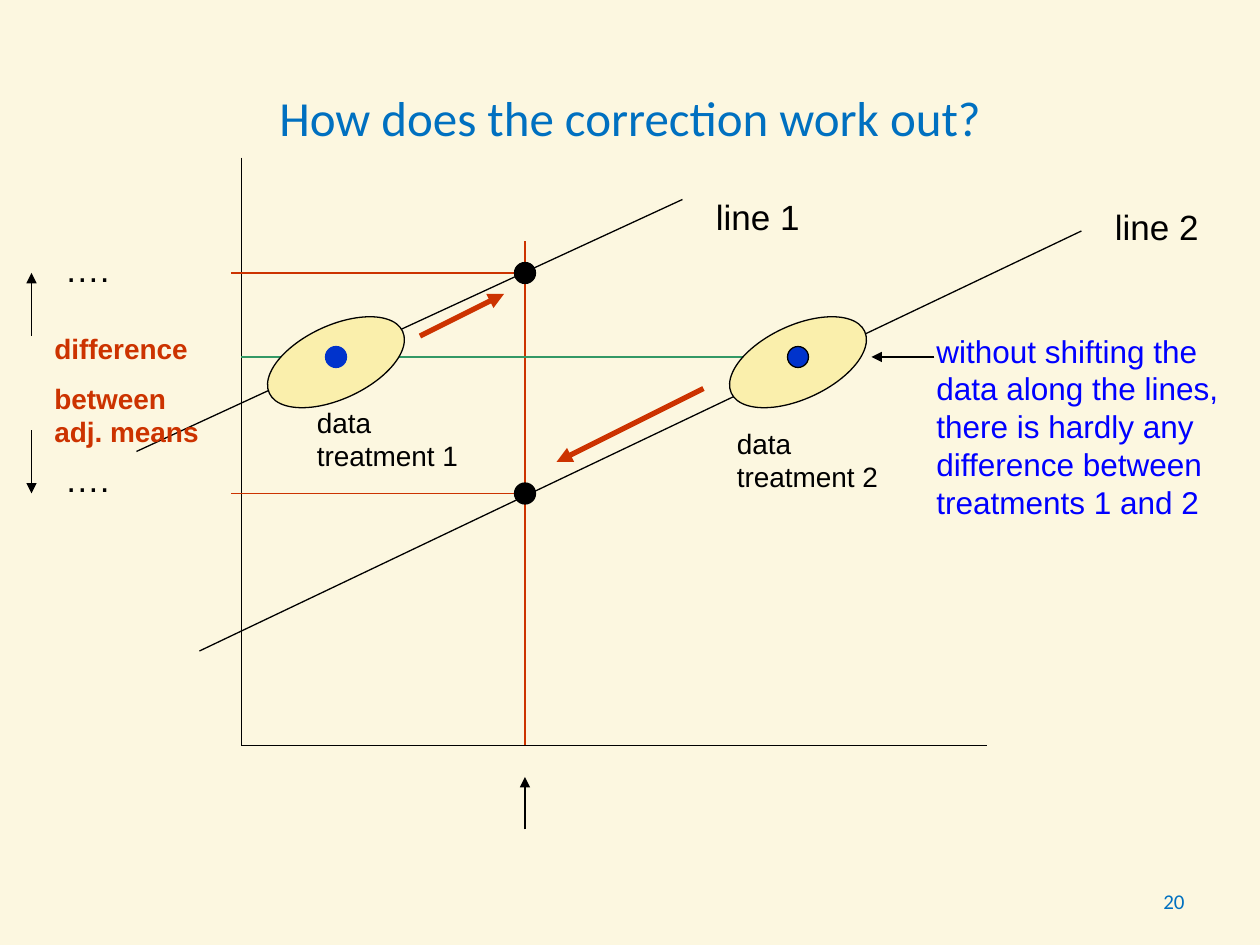
"""Build a slide showing how covariate correction moves treatment means along two lines."""
from dataclasses import dataclass

from lxml.etree import SubElement
from pptx import Presentation
from pptx.dml.color import RGBColor
from pptx.enum.shapes import MSO_CONNECTOR as Connector, MSO_SHAPE as Shape
from pptx.enum.text import MSO_ANCHOR as Anchor, MSO_AUTO_SIZE as AutoSize, PP_ALIGN as Align
from pptx.oxml.ns import qn
from pptx.util import Pt

BLACK = RGBColor(0x00, 0x00, 0x00)
RED = RGBColor(0xCC, 0x33, 0x00)
GREEN = RGBColor(0x33, 0x99, 0x66)
DOT_BLUE = RGBColor(0x00, 0x33, 0xCC)
NOTE_BLUE = RGBColor(0x00, 0x00, 0xFF)
TITLE_BLUE = RGBColor(0x00, 0x70, 0xC0)
SAND = RGBColor(0xFA, 0xEF, 0xAC)
CREAM = RGBColor(0xFC, 0xF7, 0xE0)

AXIS_X, AXIS_Y = 138, 426
MEAN_X, UPPER_Y, LOWER_Y = 300, 156, 282
DATA_Y = 204
DATA_1_X, DATA_2_X = 192, 456
DIFFERENCE_X = 18


@dataclass(frozen=True)
class Line:
    start: tuple[float, float]
    end: tuple[float, float]
    color: RGBColor = BLACK
    width: float = 0.75
    arrow: bool = False


@dataclass(frozen=True)
class Oval:
    center: tuple[float, float]
    size: tuple[float, float]
    fill: RGBColor
    outline: RGBColor = BLACK
    rotation: float = 0


@dataclass(frozen=True)
class Label:
    paragraphs: tuple[str, ...]
    frame: tuple[float, float, float, float]
    size: float
    color: RGBColor = BLACK
    bold: bool = False
    font: str = "Arial"
    align: Align = Align.LEFT
    anchor: Anchor = Anchor.TOP
    auto_size: AutoSize = AutoSize.SHAPE_TO_FIT_TEXT


DOT = (12, 12)
CLOUD = (84, 42)

LINES = (
    Line((AXIS_X, 90), (AXIS_X, AXIS_Y)),
    Line((AXIS_X, AXIS_Y), (564, AXIS_Y)),
    Line((78, 258), (390, 114)),
    Line((114, 372), (618, 132)),
    Line((MEAN_X, 138), (MEAN_X, AXIS_Y), RED),
    Line((MEAN_X, LOWER_Y), (132, LOWER_Y), RED),
    Line((MEAN_X, UPPER_Y), (132, UPPER_Y), RED),
    Line((AXIS_X, DATA_Y), (474, DATA_Y), GREEN),
    Line((MEAN_X, 474), (MEAN_X, 444), arrow=True),
    Line((DIFFERENCE_X, 192), (DIFFERENCE_X, UPPER_Y), arrow=True),
    Line((DIFFERENCE_X, 246), (DIFFERENCE_X, LOWER_Y), arrow=True),
)
CLOUDS = tuple(Oval((x, DATA_Y + 3), CLOUD, SAND, rotation=335.1) for x in (DATA_1_X, DATA_2_X))
SHIFTS = (
    Line((240, 192), (288, 168), RED, 3, True),
    Line((402, 222), (318, 264), RED, 3, True),
    Line((534, DATA_Y), (498, DATA_Y), arrow=True),
)
DOTS = (
    Oval((MEAN_X, LOWER_Y), DOT, BLACK),
    Oval((MEAN_X, UPPER_Y), DOT, BLACK),
    Oval((DATA_1_X, DATA_Y), DOT, DOT_BLUE, DOT_BLUE),
    Oval((DATA_2_X, DATA_Y), DOT, DOT_BLUE),
)
NOTE = (
    "without shifting the data along the lines, there is hardly any "
    "difference between treatments 1 and 2"
)
LABELS = (
    Label(("difference", "between adj. means"), (24, 186, 102, 75), 16, RED, True),
    Label((NOTE,), (528, 186, 180, 117), 18, NOTE_BLUE),
    Label(("line 1",), (402, 108, 84, 32), 20),
    Label(("line 2",), (630, 114, 66, 32), 20),
    Label(("data treatment 1",), (174, 228, 114, 46), 16),
    Label(("data treatment 2",), (414, 240, 114, 46), 16),
    Label(("….",), (30, 138, 48, 31), 20),
    Label(("….",), (30, 258, 48, 31), 20),
)
TITLE = Label(
    ("How does the correction work out?",), (36, 21.6, 648, 90), 28, TITLE_BLUE,
    font="Calibri", align=Align.CENTER, anchor=Anchor.MIDDLE, auto_size=AutoSize.NONE,
)
PAGE_NUMBER = Label(
    ("20",), (632, 500.4, 52, 28.8), 12, TITLE_BLUE,
    font="Calibri", align=Align.RIGHT, anchor=Anchor.MIDDLE, auto_size=AutoSize.NONE,
)


def apply_format(target, values: dict) -> None:
    """Set every named attribute on the target."""
    for name, value in values.items():
        setattr(target, name, value)


def draw_line(page, line: Line) -> None:
    """Draw a straight line, with an arrowhead at its end if asked."""
    points = (Pt(value) for value in (*line.start, *line.end))
    connector = page.shapes.add_connector(Connector.STRAIGHT, *points)
    connector.line.color.rgb = line.color
    connector.line.width = Pt(line.width)
    if line.arrow:
        SubElement(connector.line._get_or_add_ln(), qn("a:tailEnd"), type="triangle")
    SubElement(connector._element.spPr, qn("a:effectLst"))


def draw_oval(page, oval: Oval) -> None:
    """Draw an ellipse around its centre."""
    (x, y), (width, height) = oval.center, oval.size
    frame = (Pt(value) for value in (x - width / 2, y - height / 2, width, height))
    shape = page.shapes.add_shape(Shape.OVAL, *frame)
    shape.shadow.inherit = False
    shape.rotation = oval.rotation
    shape.fill.solid()
    shape.fill.fore_color.rgb = oval.fill
    shape.line.color.rgb = oval.outline
    shape.line.width = Pt(0.75)


def write_label(box, label: Label) -> None:
    """Place the box and fill it with formatted paragraphs."""
    apply_format(box, dict(zip(("left", "top", "width", "height"), map(Pt, label.frame))))
    frame = box.text_frame
    apply_format(frame, {
        "word_wrap": True, "auto_size": label.auto_size, "vertical_anchor": label.anchor,
    })
    for index, text in enumerate(label.paragraphs):
        para = frame.add_paragraph() if index else frame.paragraphs[0]
        apply_format(para, {"alignment": label.align, "space_before": Pt(9 if index else 0)})
        span = para.add_run()
        span.text = text
        apply_format(span.font, {"name": label.font, "size": Pt(label.size), "bold": label.bold})
        span.font.color.rgb = label.color


def add_label(page, label: Label) -> None:
    """Add a text box for the label."""
    write_label(page.shapes.add_textbox(*map(Pt, label.frame)), label)


def main() -> None:
    """Build and save the deck."""
    deck = Presentation()
    apply_format(deck, {"slide_width": Pt(720), "slide_height": Pt(540)})
    page = deck.slides.add_slide(deck.slide_layouts[5])
    page.background.fill.solid()
    page.background.fill.fore_color.rgb = CREAM
    write_label(page.shapes.title, TITLE)
    for items, draw in (
        (LINES, draw_line), (CLOUDS, draw_oval), (SHIFTS, draw_line),
        (LABELS, add_label), (DOTS, draw_oval), ((PAGE_NUMBER,), add_label),
    ):
        for item in items:
            draw(page, item)
    deck.save("out.pptx")


if __name__ == "__main__":
    main()
